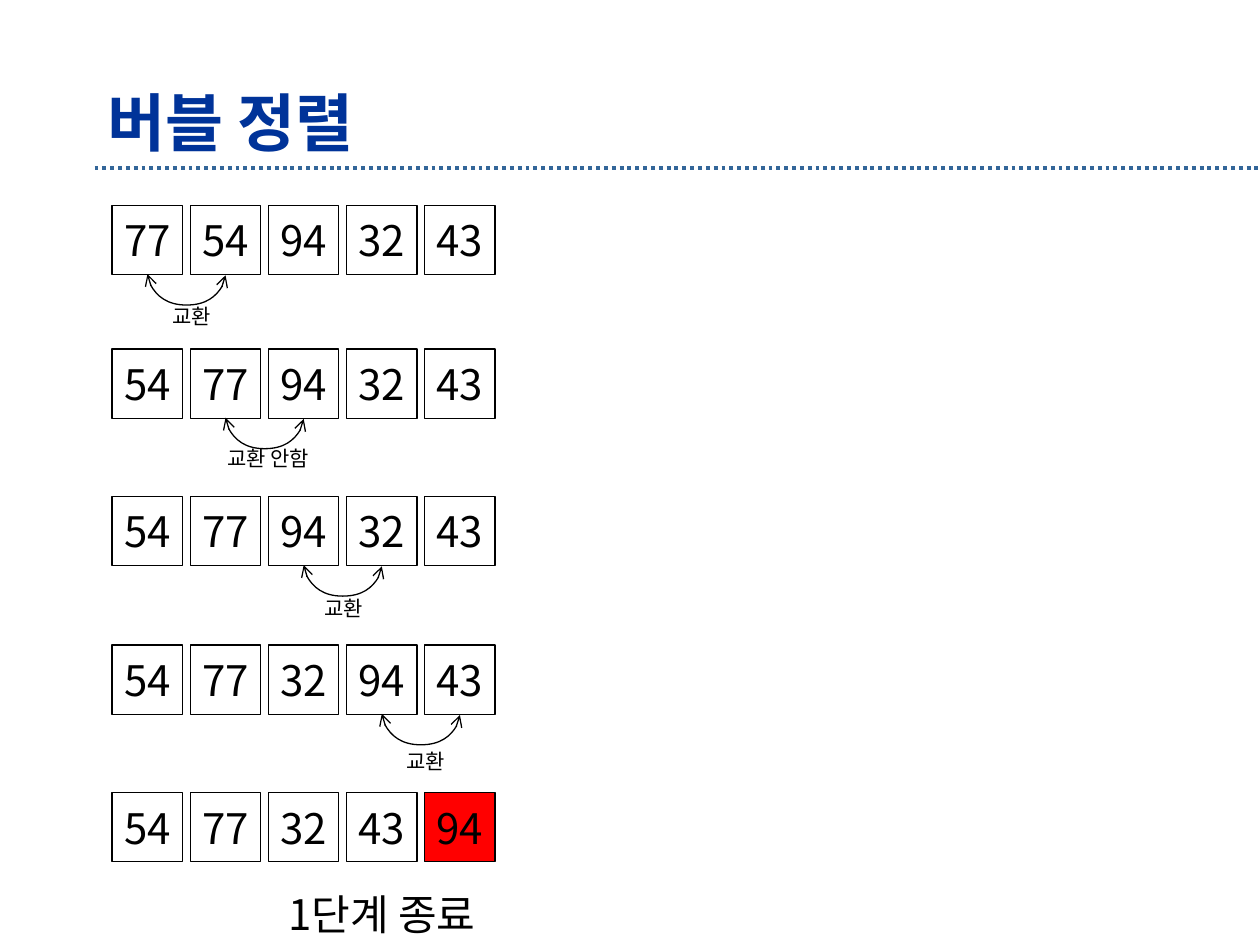
from dataclasses import dataclass

from pptx import Presentation
from pptx.dml.color import RGBColor
from pptx.enum.dml import MSO_LINE
from pptx.enum.shapes import MSO_CONNECTOR, MSO_SHAPE
from pptx.enum.text import MSO_ANCHOR, MSO_AUTO_SIZE, PP_ALIGN
from pptx.oxml.ns import qn
from pptx.oxml.xmlchemy import OxmlElement
from pptx.slide import Slide
from pptx.util import Inches, Pt

CENTER, LEFT = PP_ALIGN.CENTER, PP_ALIGN.LEFT
MIDDLE = MSO_ANCHOR.MIDDLE
GROW = MSO_AUTO_SIZE.SHAPE_TO_FIT_TEXT
DOTTED = MSO_LINE.ROUND_DOT
RECTANGLE = MSO_SHAPE.RECTANGLE
STRAIGHT, CURVE = MSO_CONNECTOR.STRAIGHT, MSO_CONNECTOR.CURVE

COLORS = {
    "title": "003399",
    "rule": "336699",
    "ink": "000000",
    "cell": "FFFFFF",
    "sorted": "FF0000",
}
FONT = "Noto Sans CJK KR"

CELL_LEFT, CELL_STEP = 0.89, 0.62
CELL_WIDTH, CELL_HEIGHT = 0.56, 0.55

# top, values, index of the left compared cell, label, label centre, label top
STEPS = [
    (1.63, (77, 54, 94, 32, 43), 0, "교환", 1.52, 2.36),
    (2.77, (54, 77, 94, 32, 43), 1, "교환 안함", 2.13, 3.49),
    (3.94, (54, 77, 94, 32, 43), 2, "교환", 2.73, 4.68),
    (5.12, (54, 77, 32, 94, 43), 3, "교환", 3.38, 5.89),
]
RESULT_TOP, RESULT = 6.29, (54, 77, 32, 43, 94)


def rgb(name):
    return RGBColor.from_string(COLORS[name])


@dataclass
class Page:
    slide: Slide
    font: str = FONT

    def set_text(self, frame, text, size, color="ink", align=CENTER, bold=False):
        frame.text = text
        para = frame.paragraphs[0]
        para.alignment = align
        para.font.size = Pt(size)
        para.font.bold = bold
        para.font.color.rgb = rgb(color)
        para.font.name = self.font
        east_asian = OxmlElement("a:ea")
        east_asian.set("typeface", self.font)
        para._p.pPr.find(qn("a:defRPr")).append(east_asian)

    def title(self, text):
        box = self.slide.shapes.title
        box.left, box.top = Inches(0.75), Inches(0.67)
        box.width, box.height = Inches(8.58), Inches(0.58)
        box.text_frame.vertical_anchor = MIDDLE
        self.set_text(box.text_frame, text, 36, "title", LEFT, True)

    def connector(self, kind, start, end, color, width):
        line = self.slide.shapes.add_connector(
            kind, *(Inches(value) for value in (*start, *end)))
        line.line.color.rgb = rgb(color)
        line.line.width = Pt(width)
        line._element.spPr.append(OxmlElement("a:effectLst"))
        return line

    def rule(self):
        line = self.connector(STRAIGHT, (0.75, 1.33), (10, 1.33), "rule", 2.25)
        line.line.dash_style = DOTTED

    def cell(self, left, top, value, fill):
        box = self.slide.shapes.add_shape(
            RECTANGLE, Inches(left), Inches(top),
            Inches(CELL_WIDTH), Inches(CELL_HEIGHT))
        box.shadow.inherit = False
        box.fill.solid()
        box.fill.fore_color.rgb = rgb(fill)
        box.line.color.rgb = rgb("ink")
        box.line.width = Pt(0.75)
        box.text_frame.word_wrap = False
        box.text_frame.vertical_anchor = MIDDLE
        self.set_text(box.text_frame, str(value), 24)

    def row(self, top, values, sorted_count=0):
        for index, value in enumerate(values):
            done = index >= len(values) - sorted_count
            self.cell(CELL_LEFT + index * CELL_STEP, top, value,
                      "sorted" if done else "cell")

    def swap_arc(self, index, y, depth=0.25, thickness=0.01):
        """Double arrow hanging below two neighbouring cells.

        It is a nearly flat vertical curve, turned to lie sideways, whose
        adjustment pushes the bend out to the given depth.
        """
        x = CELL_LEFT + CELL_WIDTH / 2 + (index + 0.5) * CELL_STEP
        across, along = thickness / 2, CELL_STEP / 2
        arc = self.connector(CURVE, (x + across, y - along),
                             (x - across, y + along), "ink", 0.75)
        properties = arc._element.spPr
        properties.find(qn("a:xfrm")).set("rot", str(270 * 60000))
        guide = OxmlElement("a:gd")
        guide.set("name", "adj1")
        guide.set("fmla", f"val {round(depth / thickness * 100000)}")
        properties.find(qn("a:prstGeom")).get_or_add_avLst().append(guide)
        outline = properties.find(qn("a:ln"))
        for end in ("a:headEnd", "a:tailEnd"):
            arrow = OxmlElement(end)
            arrow.set("type", "arrow")
            outline.append(arrow)

    def label(self, text, center, top, width, height, size):
        box = self.slide.shapes.add_textbox(
            Inches(center - width / 2), Inches(top),
            Inches(width), Inches(height))
        box.text_frame.word_wrap = False
        box.text_frame.auto_size = GROW
        self.set_text(box.text_frame, text, size)


def main():
    deck = Presentation()
    deck.slide_width, deck.slide_height = Inches(10), Inches(7.5)
    page = Page(deck.slides.add_slide(deck.slide_layouts[5]))

    page.rule()
    page.title("버블 정렬")
    for top, values, index, text, center, label_top in STEPS:
        page.row(top, values)
        page.swap_arc(index, top + CELL_HEIGHT)
        width = 0.54 if len(text) == 2 else 0.93
        page.label(text, center, label_top, width, 0.3, 12)
    page.row(RESULT_TOP, RESULT, sorted_count=1)
    page.label("1단계 종료", 3.03, 7, 1.85, 0.5, 24)

    deck.save("out.pptx")


if __name__ == "__main__":
    main()
